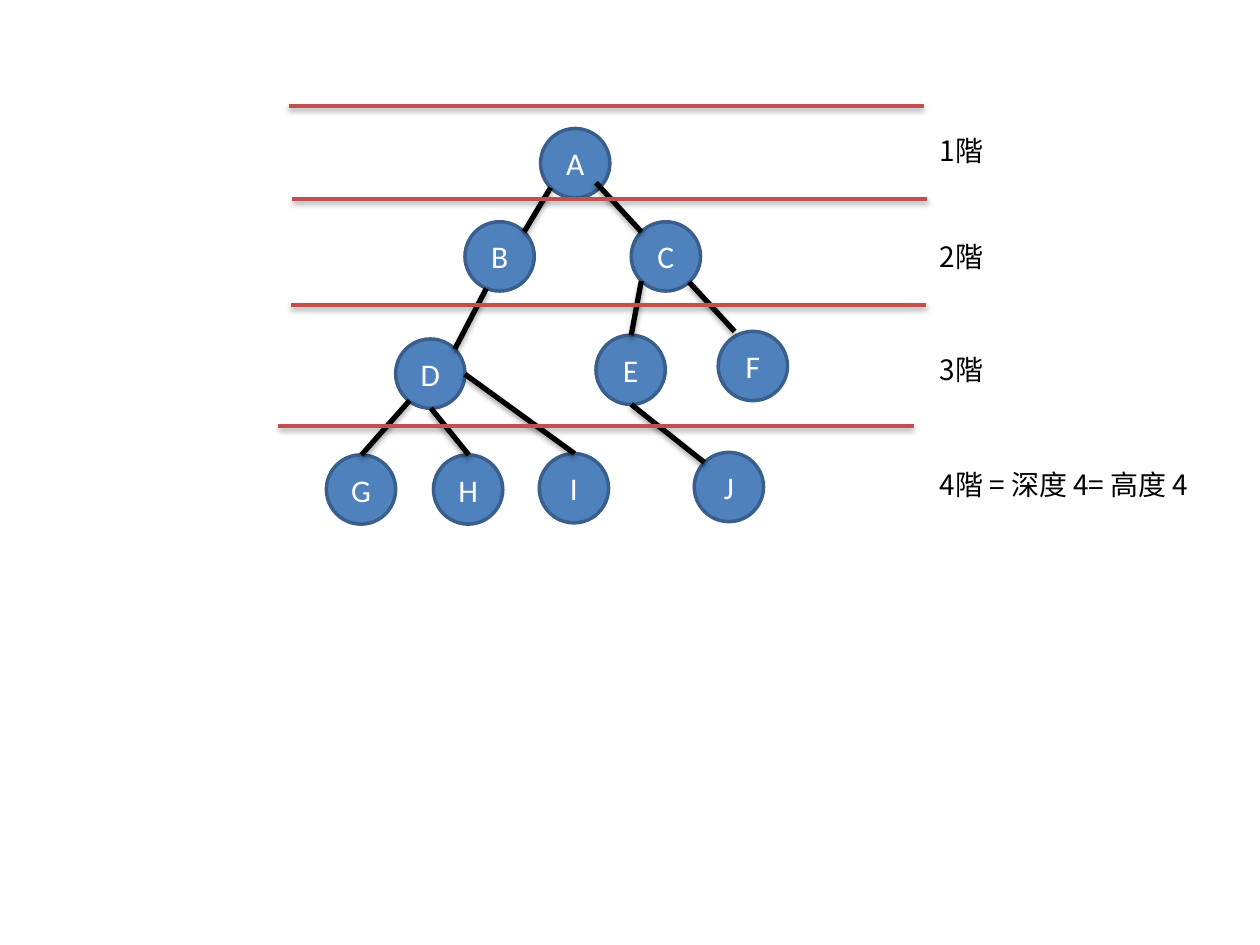
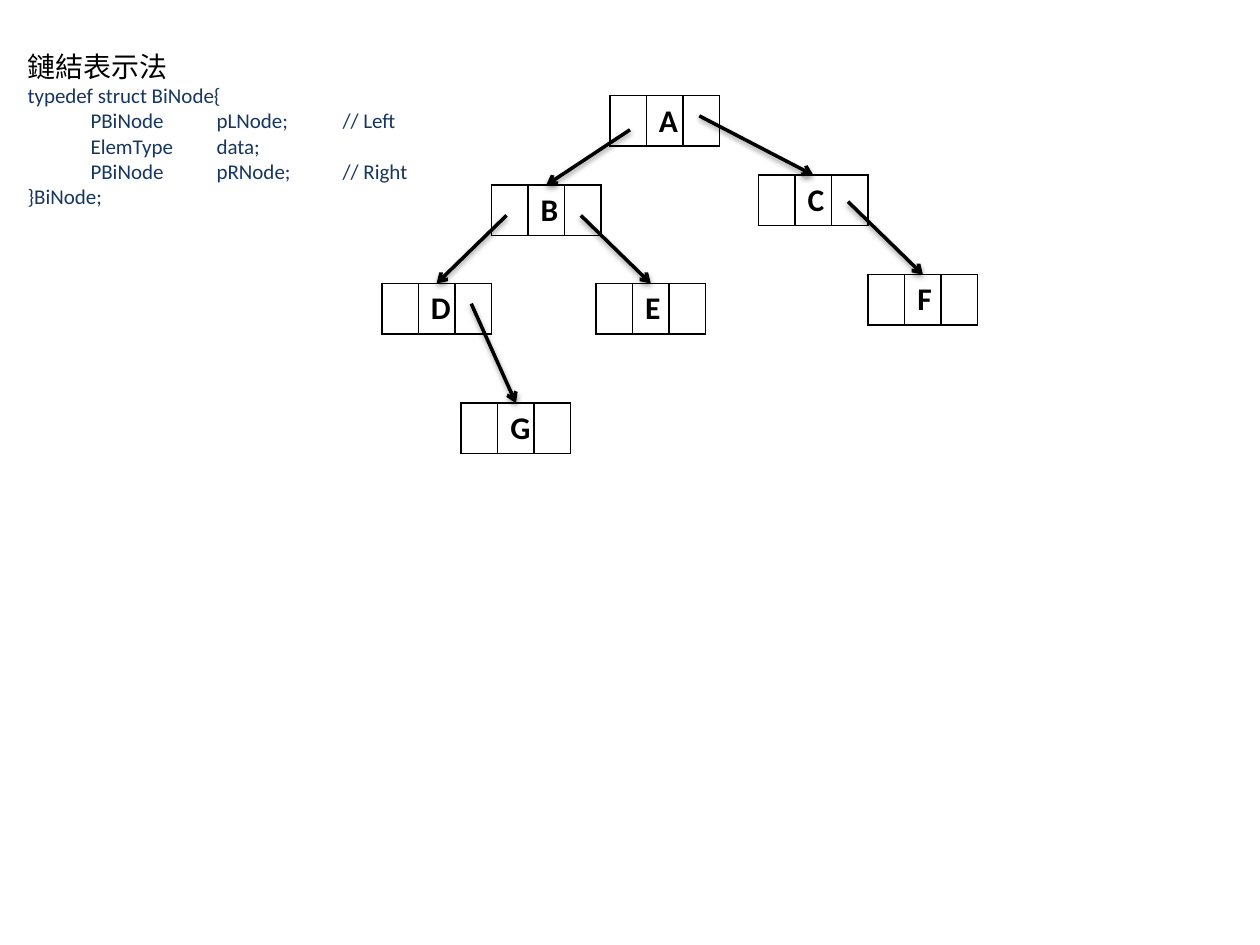
"""Build two slides on binary trees: levels and linked nodes."""
from lxml import etree
from pptx import Presentation
from pptx import util as u
from pptx.dml.color import RGBColor
from pptx.enum import shapes, text
from pptx.oxml.ns import qn

COLORS = {"ink": "000000", "node": "4F81BD", "rim": "3A5F8C",
          "level": "C0504D", "code": "17375E", "white": "FFFFFF"}
LATIN, CJK = "Calibri", "Noto Sans CJK SC"
DIAMETER = 0.55
CELL, ROW = 0.29, 0.35


def rgb(name):
    """Return the named colour."""
    return RGBColor.from_string(COLORS[name])


def add(parent, tag, **attrs):
    """Append a DrawingML element with attributes."""
    return etree.SubElement(parent, qn(tag), {k: str(v) for k, v in attrs.items()})


def add_run(p, content, size, color="ink", font=LATIN, bold=False):
    """Append one styled run to a paragraph."""
    r = p.add_run()
    r.text = content
    r.font.size, r.font.name, r.font.bold = u.Pt(size), font, bold
    r.font.color.rgb = rgb(color)
    if font == CJK:
        add(r.font._element, "a:ea", typeface=font)


def add_text_box(s, x, y, w, h):
    """Add a wrapping, growing text box and return its frame."""
    tf = s.shapes.add_textbox(*map(u.Inches, (x, y, w, h))).text_frame
    tf.word_wrap = True
    tf.auto_size = text.MSO_AUTO_SIZE.SHAPE_TO_FIT_TEXT
    return tf


def add_line(s, start, end, color="ink", width=2, arrow=False, dist=1.6, alpha=38):
    """Draw a line with a soft shadow below it."""
    c = s.shapes.add_connector(shapes.MSO_CONNECTOR.STRAIGHT,
                               *map(u.Inches, (*start, *end)))
    c.line.color.rgb, c.line.width = rgb(color), u.Pt(width)
    if arrow:
        add(c.line._get_or_add_ln(), "a:tailEnd", type="arrow")
    effects = add(c._element.spPr, "a:effectLst")
    shadow = add(effects, "a:outerShdw", blurRad=u.Pt(3.1), dist=u.Pt(dist),
                 dir=90 * 60000, rotWithShape=0)
    add(add(shadow, "a:srgbClr", val=COLORS["ink"]), "a:alpha", val=alpha * 1000)


def shift(origin, offset):
    """Return a point moved by an offset."""
    return origin[0] + offset[0], origin[1] + offset[1]


def add_circle(s, name, x, y):
    """Draw a round tree node."""
    sp = s.shapes.add_shape(shapes.MSO_SHAPE.OVAL,
                            *map(u.Inches, (x, y, DIAMETER, DIAMETER)))
    sp.shadow.inherit = False
    sp.fill.solid()
    sp.fill.fore_color.rgb = rgb("node")
    sp.line.color.rgb, sp.line.width = rgb("rim"), u.Pt(2)
    tf = sp.text_frame
    tf.vertical_anchor = text.MSO_ANCHOR.MIDDLE
    p = tf.paragraphs[0]
    p.alignment = text.PP_ALIGN.CENTER
    add_run(p, name, 18, "white")


def add_level_tree(s, x, y):
    """Draw the round-node tree and its edges."""
    nodes = {"A": (1.7, 0), "B": (1.1, 0.74), "C": (2.42, 0.74), "E": (2.14, 1.64),
             "F": (3.11, 1.61), "J": (2.92, 2.57), "D": (0.55, 1.67),
             "G": (0, 2.59), "H": (0.85, 2.59), "I": (1.69, 2.58)}
    top, bottom, right = (0.28, 0), (0.28, 0.55), (0.55, 0.28)
    upper_left, upper_right, lower_left = (0.08, 0.08), (0.47, 0.08), (0.08, 0.47)
    edges = [("A", lower_left, "B", upper_right), ("B", (0.17, 0.53), "D", upper_right),
             ("D", (0.11, 0.49), "G", top), ("D", bottom, "H", top),
             ("D", right, "I", top), ("A", (0.44, 0.43), "C", upper_left),
             ("C", (0.46, 0.48), "F", (0.13, 0)), ("C", lower_left, "E", top),
             ("E", bottom, "J", upper_left)]
    places = {name: shift((x, y), at) for name, at in nodes.items()}
    for name, at in places.items():
        add_circle(s, name, *at)
    for parent, start, child, end in edges:
        add_line(s, shift(places[parent], start), shift(places[child], end),
                 width=3, dist=1.8, alpha=35)


def add_levels(s, x, y):
    """Draw the level rules and the labels to their right."""
    for dx, dy in [(0.11, 0.74), (0.1, 1.58), (0, 2.54), (0.08, 0)]:
        add_line(s, (x + dx, y + dy), (x + dx + 5.04, y + dy), "level")
    for label, dy, w in [("1階", 0.17, 0.56), ("2階", 1.01, 0.56),
                         ("3階", 1.91, 0.56), ("4階 = 深度 4= 高度 4", 2.82, 2.6)]:
        tf = add_text_box(s, x + 5.15, y + dy, w, 0.37)
        add_run(tf.paragraphs[0], label, 16, font=CJK)


def add_code(s, x, y, w, h):
    """Write the heading and the node declaration."""
    tf = add_text_box(s, x, y, w, h)
    add_run(tf.paragraphs[0], "鏈結表示法", 16, font=CJK)
    for line, indented in [("typedef struct BiNode{", False),
                           ("PBiNode\tpLNode;\t// Left", True),
                           ("ElemType\tdata;", True),
                           ("PBiNode\tpRNode;\t// Right", True),
                           ("}BiNode;", False)]:
        p = tf.add_paragraph()
        if indented:
            p.level = 1
            pPr = p._p.get_or_add_pPr()
            pPr.set("marL", str(u.Inches(0.5)))
            pPr.set("indent", "0")
            tabs = add(pPr, "a:tabLst")
            for stop in (1.27, 1.91):
                add(tabs, "a:tab", pos=u.Inches(stop), algn="l")
        add_run(p, line, 12, "code")


def add_record(s, name, x, y):
    """Draw a linked node as left, data and right cells."""
    table = s.shapes.add_table(1, 3, *map(u.Inches, (x, y, 3 * CELL, ROW))).table
    table.first_row = table.horz_banding = False
    table.rows[0].height = u.Inches(ROW)
    for column, cell in zip(table.columns, table.rows[0].cells):
        column.width = u.Inches(CELL)
        tcPr = cell._tc.get_or_add_tcPr()
        for side in ("a:lnL", "a:lnR", "a:lnT", "a:lnB"):
            ln = add(tcPr, side, w=u.Pt(1))
            add(add(ln, "a:solidFill"), "a:srgbClr", val=COLORS["ink"])
        cell.fill.background()
    add_run(table.cell(0, 1).text_frame.paragraphs[0], name, 18, bold=True)


def add_linked_tree(s, x, y):
    """Draw the linked nodes and the pointers to their children."""
    nodes = {"A": (1.81, 0), "B": (0.87, 0.71), "C": (2.99, 0.63), "D": (0, 1.49),
             "E": (1.7, 1.49), "F": (3.86, 1.42), "G": (0.63, 2.44)}
    pointers = [("A", (0.16, 0.27), "B"), ("B", (0.12, 0.24), "D"),
                ("D", (0.71, 0.16), "G"), ("B", (0.71, 0.24), "E"),
                ("A", (0.71, 0.16), "C"), ("C", (0.71, 0.21), "F")]
    places = {name: shift((x, y), at) for name, at in nodes.items()}
    for name, at in places.items():
        add_record(s, name, *at)
    for parent, start, child in pointers:
        add_line(s, shift(places[parent], start),
                 shift(places[child], (1.5 * CELL, 0)), arrow=True)


def main():
    """Build and save both slides."""
    prs = Presentation()
    prs.slide_width, prs.slide_height = u.Inches(10), u.Inches(7.5)
    blank = prs.slide_layouts[6]
    s = prs.slides.add_slide(blank)
    add_level_tree(s, 2.59, 1.02)
    add_levels(s, 2.21, 0.84)
    s = prs.slides.add_slide(blank)
    add_code(s, 0.12, 0.34, 4.65, 1.38)
    add_linked_tree(s, 3.03, 0.76)
    prs.save("out.pptx")


main()
